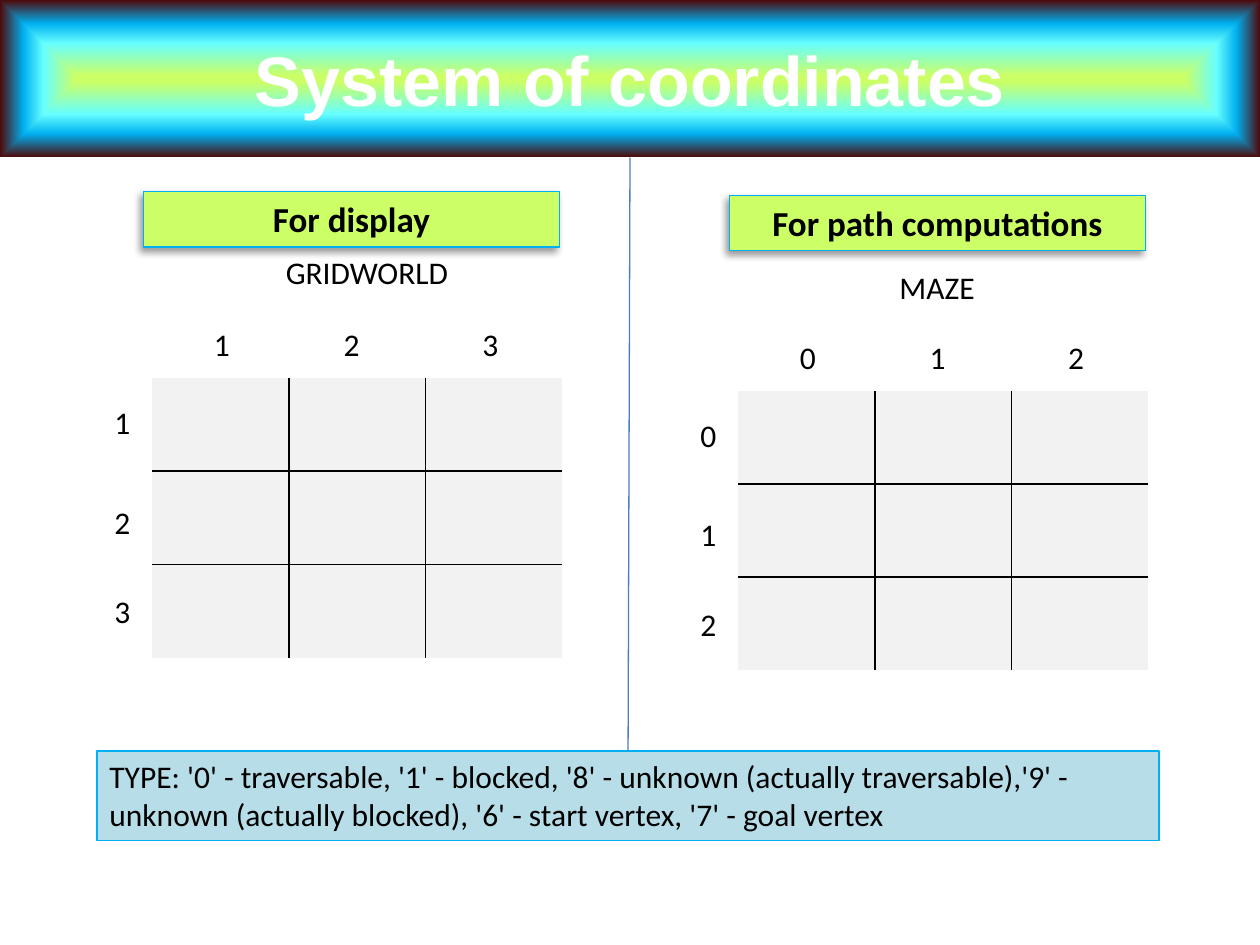
from lxml import etree
from pptx import Presentation
from pptx.dml.color import RGBColor
from pptx.enum import shapes, text
from pptx.oxml import parse_xml
from pptx.oxml.ns import nsdecls, qn
from pptx.util import Inches, Pt

COLORS = {
    "ink": "000000", "white": "FFFFFF", "cell": "F2F2F2", "lime": "CCFF66",
    "note": "B7DEE8", "edge": "00B0F0", "divider": "4B7EBC",
}
BANNER_STOPS = [(4, "CCFF66"), (45, "66FFFF"), (70, "00B0F0"), (100, "4D0808")]
NO_GRID_STYLE = "{2D5ABB26-0587-4C30-8999-92F81FD0307C}"
COLUMN_LABELS = [0.39, 1.42, 2.52]
ROW_LABELS = [0.15, 0.94, 1.65]
CELL_W, CELL_H, GRID = 3.25 / 3, 0.74, 3


def rgb(name):
    return RGBColor.from_string(COLORS[name])


class GridSlide:
    """Holds the style and the current slide."""

    font = "Calibri"
    size = 18

    def __init__(self, slide):
        self.slide = slide

    def add_words(self, frame, words, size=None, bold=False, color="ink",
                  font=None, align=text.PP_ALIGN.LEFT):
        paragraph = frame.paragraphs[0]
        paragraph.alignment = align
        run = paragraph.add_run()
        run.text = words
        run.font.name = font or self.font
        run.font.size = Pt(size or self.size)
        run.font.bold = bold
        run.font.color.rgb = rgb(color)

    def banner(self, words, height):
        title = self.slide.shapes.title
        title.left, title.top = Inches(0), Inches(0)
        title.width, title.height = Inches(10), Inches(height)
        stops = "".join(f'<a:gs pos="{at * 1000}"><a:srgbClr val="{color}"/></a:gs>'
                        for at, color in BANNER_STOPS)
        title._element.spPr.append(parse_xml(
            f'<a:gradFill {nsdecls("a")} rotWithShape="1"><a:gsLst>{stops}</a:gsLst>'
            '<a:path path="shape"><a:fillToRect l="50000" t="50000" r="50000" b="50000"/>'
            '</a:path></a:gradFill>'))
        frame = title.text_frame
        frame.auto_size = text.MSO_AUTO_SIZE.NONE
        frame.vertical_anchor = text.MSO_ANCHOR.MIDDLE
        self.add_words(frame, words, 40, True, "white", "Arial", text.PP_ALIGN.CENTER)
        return title

    def box(self, left, top, width, height, fill, words, **style):
        box = self.slide.shapes.add_shape(
            shapes.MSO_SHAPE.RECTANGLE,
            Inches(left), Inches(top), Inches(width), Inches(height))
        box.shadow.inherit = False
        box.fill.solid()
        box.fill.fore_color.rgb = rgb(fill)
        box.line.color.rgb = rgb("edge")
        box.line.width = Pt(0.75)
        frame = box.text_frame
        frame.word_wrap = True
        frame.vertical_anchor = text.MSO_ANCHOR.TOP
        self.add_words(frame, words, **style)
        return box

    def heading(self, left, top, words):
        """Lime box with a soft shadow to the lower left."""
        heading = self.box(left, top, 3.3, 0.44, "lime", words, size=20, bold=True,
                           align=text.PP_ALIGN.CENTER)
        heading._element.spPr.find(qn("a:effectLst")).append(parse_xml(
            f'<a:outerShdw {nsdecls("a")} blurRad="{Pt(4)}" dist="{Pt(3)}" dir="8100000" '
            'algn="tr" rotWithShape="0"><a:srgbClr val="000000"><a:alpha val="40000"/>'
            '</a:srgbClr></a:outerShdw>'))

    def label(self, left, top, words, width=0.33):
        label = self.slide.shapes.add_textbox(
            Inches(left), Inches(top), Inches(width), Inches(0.4))
        label.text_frame.word_wrap = False
        self.add_words(label.text_frame, words)

    def grid(self, left, top):
        """Table with rules between its cells only."""
        frame = self.slide.shapes.add_table(
            GRID, GRID, Inches(left), Inches(top),
            Inches(CELL_W * GRID), Inches(CELL_H * GRID))
        table = frame.table
        table.first_row = table.horz_banding = False
        table._tbl.tblPr.find(qn("a:tableStyleId")).text = NO_GRID_STYLE
        last = GRID - 1
        for row in range(GRID):
            for column in range(GRID):
                cell = table.cell(row, column)
                inner = {"L": column > 0, "R": column < last,
                         "T": row > 0, "B": row < last}
                for side, ruled in inner.items():
                    if ruled:
                        self.rule(cell, side)
                cell.fill.solid()
                cell.fill.fore_color.rgb = rgb("cell")

    def rule(self, cell, side):
        edge = etree.SubElement(cell._tc.get_or_add_tcPr(), qn(f"a:ln{side}"),
                                w=str(Pt(1)))
        fill = etree.SubElement(edge, qn("a:solidFill"))
        etree.SubElement(fill, qn("a:srgbClr"), val=COLORS["ink"])

    def coordinates(self, left, top, first):
        """Grid with its rows and columns numbered from first."""
        self.grid(left, top)
        for index, (dx, dy) in enumerate(zip(COLUMN_LABELS, ROW_LABELS)):
            number = str(first + index)
            self.label(left + dx, top - 0.47, number)
            self.label(left - 0.4, top + dy, number)

    def divider(self, above, below):
        line = self.slide.shapes.add_connector(shapes.MSO_CONNECTOR.STRAIGHT, 0, 0, 0, 0)
        line.begin_connect(above, 2)
        line.end_connect(below, 0)
        line.line.color.rgb = rgb("divider")
        line.line.width = Pt(0.75)
        etree.SubElement(line._element.spPr, qn("a:effectLst"))


def main():
    deck = Presentation()
    deck.slide_width, deck.slide_height = Inches(10), Inches(7.5)
    page = GridSlide(deck.slides.add_slide(deck.slide_layouts[5]))

    banner = page.banner("System of coordinates", 1.25)

    page.coordinates(1.21, 3, first=1)
    page.label(2.17, 1.96, "GRIDWORLD", 1.5)
    page.heading(1.14, 1.52, "For display")

    page.coordinates(5.86, 3.1, first=0)
    page.label(7.04, 2.08, "MAZE", 0.8)
    page.heading(5.79, 1.55, "For path computations")

    cell_types = page.box(
        0.77, 5.96, 8.43, 0.71, "note",
        "TYPE: '0' - traversable, '1' - blocked, '8' - unknown (actually traversable),"
        "'9' - unknown (actually blocked), '6' - start vertex, '7' - goal vertex")
    page.divider(banner, cell_types)

    deck.save("out.pptx")


if __name__ == "__main__":
    main()
